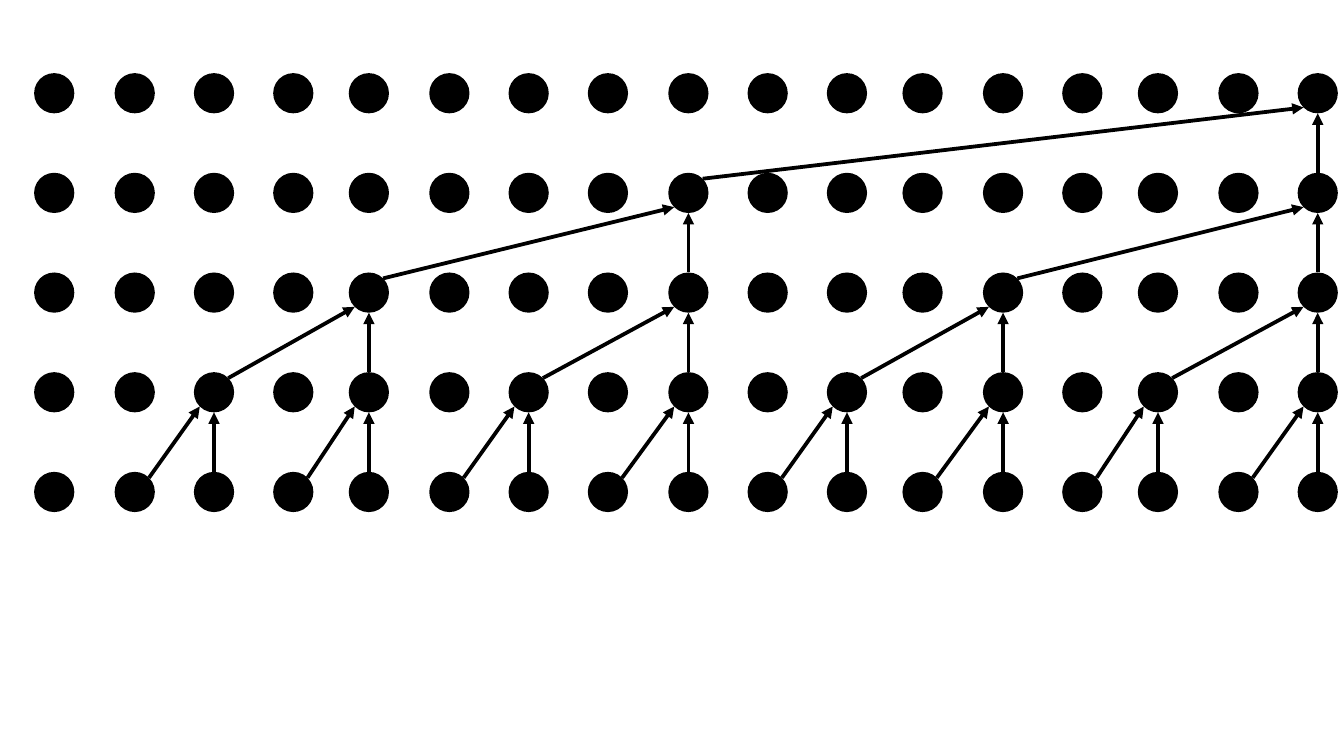
"""Draw a binary reduction tree over rows of dots."""
from math import sqrt

from lxml.etree import SubElement
from pptx import Presentation
from pptx.dml.color import RGBColor
from pptx.enum.shapes import MSO_CONNECTOR, MSO_SHAPE
from pptx.oxml.ns import qn
from pptx.util import Inches, Pt

BLACK = "000000"
DIAMETER = 0.33
RADIUS = DIAMETER / 2
DIAGONAL = RADIUS / sqrt(2)
COLUMN_LEFTS = [0.28, 0.94, 1.59, 2.24, 2.86, 3.52, 4.17, 4.82, 5.48,
                6.13, 6.78, 7.4, 8.06, 8.71, 9.33, 9.99, 10.64]
LEVELS = 5
TOP_ROW = 0.6
BOTTOM_ROW = 3.87
ROW_GAP = (BOTTOM_ROW - TOP_ROW) / (LEVELS - 1)


def color(hex_value):
    """Return the colour for a hex string."""
    return RGBColor.from_string(hex_value)


def center(column, level):
    """Return the centre of a dot in inches, with level 0 at the bottom."""
    return COLUMN_LEFTS[column] + RADIUS, BOTTOM_ROW - level * ROW_GAP + RADIUS


def add_dot(slide, column, level):
    """Add one black dot of the grid."""
    x, y = center(column, level)
    dot = slide.shapes.add_shape(
        MSO_SHAPE.OVAL, Inches(x - RADIUS), Inches(y - RADIUS),
        Inches(DIAMETER), Inches(DIAMETER))
    dot.shadow.inherit = False
    dot.fill.solid()
    dot.fill.fore_color.rgb = color(BLACK)
    dot.line.fill.background()


def add_arrow(slide, child, parent, level):
    """Add an arrow from a child column up to its parent on the given level."""
    start_x, start_y = center(child, level - 1)
    end_x, end_y = center(parent, level)
    offset_x, offset_y = (0, RADIUS) if child == parent else (DIAGONAL, DIAGONAL)
    arrow = slide.shapes.add_connector(
        MSO_CONNECTOR.STRAIGHT,
        Inches(start_x + offset_x), Inches(start_y - offset_y),
        Inches(end_x - offset_x), Inches(end_y + offset_y))
    arrow.line.color.rgb = color(BLACK)
    arrow.line.width = Pt(2.25)
    SubElement(arrow.line._get_or_add_ln(), qn("a:tailEnd"), type="triangle")
    SubElement(arrow._element.spPr, qn("a:effectLst"))


def main():
    """Build and save the slide."""
    presentation = Presentation()
    presentation.slide_width = Inches(11.02)
    presentation.slide_height = Inches(6.2)
    slide = presentation.slides.add_slide(presentation.slide_layouts[6])
    for level in reversed(range(LEVELS)):
        for column in range(len(COLUMN_LEFTS)):
            add_dot(slide, column, level)
    for level in range(1, LEVELS):
        span = 2 ** level
        for parent in range(span, len(COLUMN_LEFTS), span):
            add_arrow(slide, parent - span // 2, parent, level)
            add_arrow(slide, parent, parent, level)
    presentation.save("out.pptx")


if __name__ == "__main__":
    main()
